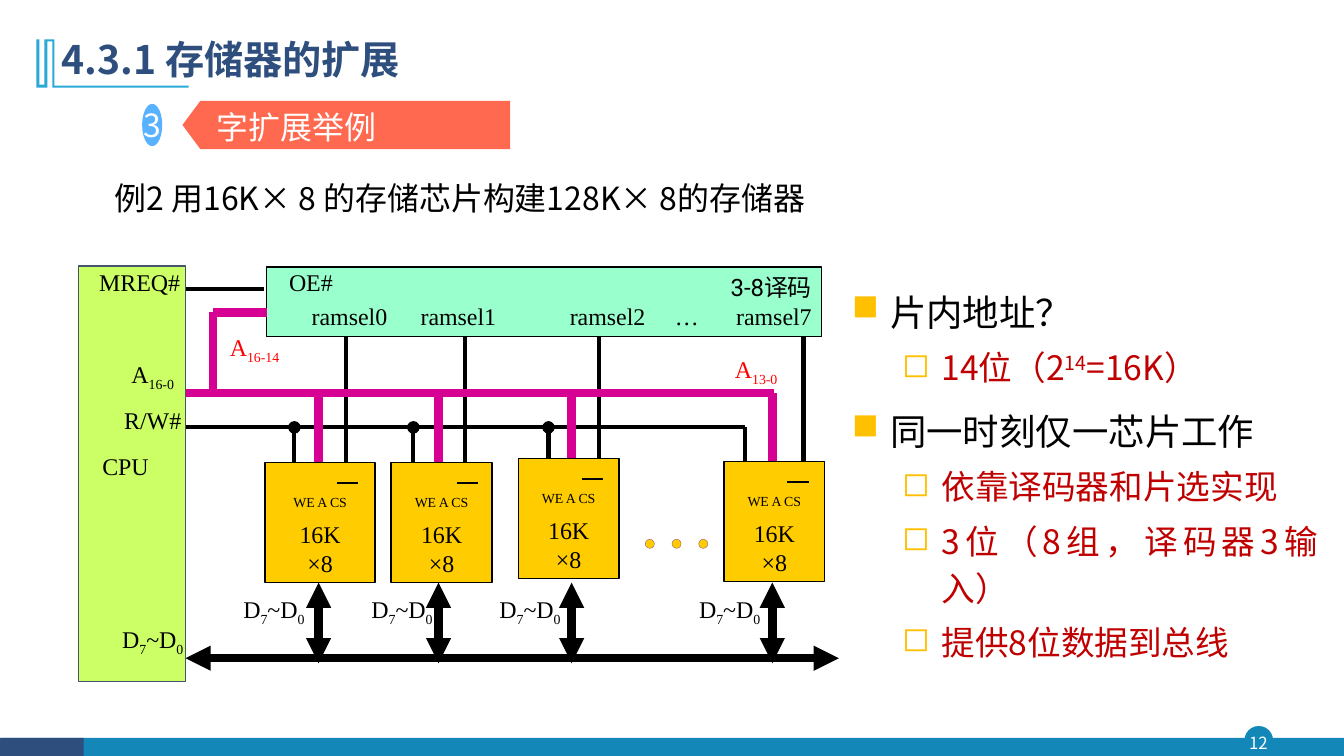
"""Build a slide on extending memory by words with a decoder and eight chips."""
from dataclasses import dataclass

import pptx
import pptx.dml.color
import pptx.enum.shapes
import pptx.enum.text
import pptx.oxml
import pptx.oxml.ns
import pptx.util

Inches = pptx.util.Inches
Pt = pptx.util.Pt
RGBColor = pptx.dml.color.RGBColor
Shape = pptx.enum.shapes.MSO_SHAPE
Align = pptx.enum.text.PP_ALIGN
Anchor = pptx.enum.text.MSO_ANCHOR
qn = pptx.oxml.ns.qn

BLACK = RGBColor(0x00, 0x00, 0x00)
WHITE = RGBColor(0xFF, 0xFF, 0xFF)
RED = RGBColor(0xFF, 0x00, 0x00)
DARK_RED = RGBColor(0xC0, 0x00, 0x00)
NAVY = RGBColor(0x2E, 0x4E, 0x7E)
TEAL = RGBColor(0x13, 0x87, 0xB7)
SKY = RGBColor(0x28, 0xA9, 0xD6)
BADGE_BLUE = RGBColor(0x59, 0xB2, 0xFF)
CORAL = RGBColor(0xFF, 0x69, 0x50)
MINT = RGBColor(0x99, 0xFF, 0xCC)
LIME = RGBColor(0xCC, 0xFF, 0x66)
SLATE = RGBColor(0x44, 0x54, 0x6A)
GOLD = RGBColor(0xFF, 0xCC, 0x00)
PLUM = RGBColor(0x95, 0x4F, 0x72)
MAGENTA = RGBColor(0xD6, 0x00, 0x93)

SANS = "Noto Sans CJK SC"
SERIF = "Times New Roman"
DATA = "D|7|~D|0"
LABEL_SIZE = 17.1
HEADING_SIZE = 22.8


@dataclass(frozen=True)
class Chip:
    left: float
    top: float
    width: float
    write_x: float
    address_x: float
    select_x: float
    bar_left: float
    select_name: str
    select_label_left: float
    data_label_left: float
    write_dot: bool = True


@dataclass(frozen=True)
class Label:
    text: str
    left: float
    top: float
    width: float = 0.93
    align: Align = Align.CENTER
    color: RGBColor = BLACK


@dataclass(frozen=True)
class Point:
    text: str
    level: int


CHIPS = [
    Chip(2.63, 4.59, 1.09, 2.92, 3.16, 3.43, 3.34, "ramsel0", 2.64, 2.1),
    Chip(3.88, 4.59, 1, 4.1, 4.35, 4.61, 4.53, "ramsel1", 3.72, 3.37),
    Chip(5.14, 4.55, 1, 5.44, 5.67, 5.94, 5.77, "ramsel2", 5.2, 4.64),
    Chip(7.18, 4.58, 1, 7.39, 7.66, 7.97, 7.81, "ramsel7", 6.85, 6.62, False),
]
CPU_LABELS = [
    Label("MREQ#", 0.92, 2.64),
    Label("A|16-0", 1.05, 3.56),
    Label("R/W#", 1.05, 4.01),
    Label("CPU", 0.78, 4.47),
    Label(DATA, 1.05, 6.19),
]
BUS_LABELS = [
    Label("A|16-14", 1.85, 3.29, align=Align.RIGHT, color=RED),
    Label("A|13-0", 6.79, 3.51, align=Align.RIGHT, color=RED),
]
POINTS = [
    Point("片内地址？", 0),
    Point("14位（2|14|=16K）", 1),
    Point("同一时刻仅一芯片工作", 0),
    Point("依靠译码器和片选实现", 1),
    Point("3位（8组，译码器3输入）", 1),
    Point("提供8位数据到总线", 1),
]


def write(paragraph, text: str, size: float, color: RGBColor, font: str = SANS,
          align: Align = Align.LEFT, bold: bool = False, baseline: int = -25) -> None:
    """Fill a paragraph; every second part between bars is raised or lowered."""
    paragraph.alignment = align
    paragraph.font.size = Pt(size)
    paragraph.font.name = font
    paragraph.font.bold = bold
    paragraph.font.color.rgb = color
    for index, part in enumerate(text.split("|")):
        if part:
            run = paragraph.add_run()
            run.text = part
            if index % 2:
                run.font._element.set("baseline", str(baseline * 1000))


def set_frame(shape, margin: float, anchor: Anchor = Anchor.TOP, wrap: bool = True):
    """Set equal margins on a text frame and return it."""
    frame = shape.text_frame
    frame.word_wrap = wrap
    frame.vertical_anchor = anchor
    frame.margin_left = frame.margin_right = Inches(margin)
    frame.margin_top = frame.margin_bottom = Inches(min(margin, 0.05))
    return frame


def add_text(slide, left: float, top: float, width: float, height: float,
             margin: float = 0.1, anchor: Anchor = Anchor.TOP):
    """Add an empty wrapping text box and return its frame."""
    box = slide.shapes.add_textbox(Inches(left), Inches(top), Inches(width), Inches(height))
    return set_frame(box, margin, anchor)


def add_label(slide, label: Label) -> None:
    """Add a small diagram label."""
    frame = add_text(slide, label.left, label.top, label.width, 0.46, 0.01)
    write(frame.paragraphs[0], label.text, LABEL_SIZE, label.color, SERIF, label.align)


def paint(shape, fill: RGBColor, line: RGBColor | None = None, width: float = 1) -> None:
    """Give a shape a flat fill and an optional outline."""
    shape.shadow.inherit = False
    shape.fill.solid()
    shape.fill.fore_color.rgb = fill
    if line is None:
        shape.line.fill.background()
    else:
        shape.line.color.rgb = line
        shape.line.width = Pt(width)


def add_block(slide, kind: Shape, left: float, top: float, width: float, height: float,
              fill: RGBColor, line: RGBColor | None = None, line_width: float = 1):
    """Add a painted preset shape."""
    shape = slide.shapes.add_shape(kind, Inches(left), Inches(top), Inches(width), Inches(height))
    paint(shape, fill, line, line_width)
    return shape


def add_wire(slide, x1: float, y1: float, x2: float, y2: float, width: float = 3,
             color: RGBColor = BLACK, head: str = "", tail: str = "") -> None:
    """Add a straight wire with optional end marks."""
    wire = slide.shapes.add_connector(pptx.enum.shapes.MSO_CONNECTOR.STRAIGHT,
                                      Inches(x1), Inches(y1), Inches(x2), Inches(y2))
    wire.line.color.rgb = color
    wire.line.width = Pt(width)
    for tag, mark in (("a:headEnd", head), ("a:tailEnd", tail)):
        if mark:
            pptx.oxml.ns.qn(tag)
            end = wire.line._get_or_add_ln().makeelement(qn(tag), {"type": mark})
            wire.line._get_or_add_ln().append(end)
    properties = wire._element.spPr
    properties.append(properties.makeelement(qn("a:effectLst"), {}))


def add_frame(slide) -> None:
    """Draw the title, its ornament and the footer."""
    add_block(slide, Shape.OVAL, 12.35, 7.21, 0.27, 0.27, TEAL, TEAL)
    add_block(slide, Shape.RECTANGLE, 0.01, 7.32, 13.32, 0.19, TEAL)
    add_block(slide, Shape.RECTANGLE, 0, 7.32, 0.83, 0.19, NAVY)
    number = add_text(slide, 12.32, 7.21, 0.32, 0.31, 0, Anchor.MIDDLE)
    write(number.paragraphs[0], "12", 12, WHITE, align=Align.CENTER)
    builder = slide.shapes.build_freeform(54, 39, scale=Inches(0.01))
    builder.add_line_segments([(54, 85), (187, 85), (187, 87), (52, 87), (52, 41), (47, 41),
                               (47, 87), (36, 87), (36, 39), (39, 39), (39, 84), (44, 84),
                               (44, 39)])
    paint(builder.convert_to_shape(), SKY)
    title = slide.shapes.title
    title.left, title.top = Inches(0.51), Inches(0.27)
    title.width, title.height = Inches(7.23), Inches(0.68)
    heading = set_frame(title, 0.1, Anchor.MIDDLE).paragraphs[0]
    heading.line_spacing = 0.9
    write(heading, "4.3.1 存储器的扩展", 28, NAVY, bold=True)


def add_heading(slide) -> None:
    """Draw the numbered banner and the example statement."""
    badge = add_block(slide, Shape.OVAL, 1.41, 1.03, 0.2, 0.42, BADGE_BLUE)
    frame = set_frame(badge, 0, Anchor.MIDDLE, wrap=False)
    write(frame.paragraphs[0], "3", HEADING_SIZE, WHITE, align=Align.CENTER)
    banner = add_block(slide, Shape.PENTAGON, 1.81, 1, 3.25, 0.48, CORAL)
    banner.adjustments[0] = 0.37
    banner._element.spPr.find(qn("a:xfrm")).set("flipH", "1")
    caption = add_text(slide, 1.91, 1.02, 3.15, 0.48)
    caption.margin_left = Inches(0.24)
    write(caption.paragraphs[0], "字扩展举例", HEADING_SIZE, WHITE)
    example = add_text(slide, 1.04, 1.72, 7.96, 0.48)
    write(example.paragraphs[0], "例2 用16K× 8 的存储芯片构建128K× 8的存储器", HEADING_SIZE, BLACK)


def add_diagram(slide) -> None:
    """Draw the processor, decoder, buses and chips."""
    for chip in CHIPS:
        add_wire(slide, chip.select_x, 4.71, chip.select_x, 3.34)
    for label in BUS_LABELS:
        add_label(slide, label)
    decoder = add_block(slide, Shape.RECTANGLE, 2.64, 2.65, 5.51, 0.69, MINT, BLACK)
    write(set_frame(decoder, 0.1).paragraphs[0], "3-8译码", LABEL_SIZE, BLACK, "Roboto", Align.RIGHT)
    add_label(slide, Label("…", 6.4, 2.98, 0.54, Align.RIGHT))
    add_label(slide, Label("OE#", 2.64, 2.64, 0.67, Align.RIGHT))
    add_wire(slide, 1.84, 4.24, 7.39, 4.24)
    add_wire(slide, 1.78, 3.9, 7.68, 3.9, 6, MAGENTA)
    add_wire(slide, 2.11, 3.1, 2.11, 3.9, 6, MAGENTA)
    add_wire(slide, 2.11, 3.1, 2.65, 3.1, 6, MAGENTA)
    add_wire(slide, 1.84, 6.53, 8.32, 6.53, 6, head="triangle", tail="triangle")
    add_wire(slide, 1.84, 2.87, 2.62, 2.87)
    add_block(slide, Shape.RECTANGLE, 0.78, 2.64, 1.06, 4.12, LIME, SLATE)
    for label in CPU_LABELS:
        add_label(slide, label)
    for chip in CHIPS:
        add_chip(slide, chip)
    for index in range(3):
        add_block(slide, Shape.OVAL, 6.4 + 0.265 * index, 5.35, 0.09, 0.09, GOLD, PLUM, 0.25)


def add_chip(slide, chip: Chip) -> None:
    """Draw one memory chip with its wires and labels."""
    add_label(slide, Label(chip.select_name, chip.select_label_left, 2.98, 1.21, Align.RIGHT))
    add_label(slide, Label(DATA, chip.data_label_left, 5.89, align=Align.RIGHT))
    add_wire(slide, chip.address_x, 5.78, chip.address_x, 6.58, 6, head="triangle", tail="triangle")
    add_wire(slide, chip.address_x, 3.9, chip.address_x, 4.59, 6, MAGENTA)
    add_wire(slide, chip.write_x, 4.7, chip.write_x, 4.24, tail="oval" if chip.write_dot else "")
    body = add_block(slide, Shape.RECTANGLE, chip.left, chip.top, chip.width, 1.19, GOLD, BLACK)
    frame = set_frame(body, 0.01)
    frame.margin_top = Inches(0.28)
    for index, text in enumerate(("|WE A CS", "16K", "×8")):
        paragraph = frame.add_paragraph() if index else frame.paragraphs[0]
        write(paragraph, text, LABEL_SIZE, BLACK, SERIF, Align.CENTER, baseline=30)
    add_wire(slide, chip.bar_left, chip.top + 0.2, chip.bar_left + 0.21, chip.top + 0.2, 1.5)


def add_points(slide) -> None:
    """Write the bulleted explanation."""
    frame = add_text(slide, 8.35, 2.61, 4.82, 4.2)
    frame.margin_top = Inches(0.19)
    for index, point in enumerate(POINTS):
        paragraph = frame.add_paragraph() if index else frame.paragraphs[0]
        mark, size, color, gap, indent, hang = (
            ("◻", 24, DARK_RED, 5, 0.89, 0.39) if point.level else ("■", 26, BLACK, 10, 0.38, 0.38))
        paragraph.level = point.level
        paragraph.line_spacing = 1.17
        if index:
            paragraph.space_before = Pt(gap)
        properties = paragraph._element.get_or_add_pPr()
        properties.set("marL", str(Inches(indent)))
        properties.set("indent", str(-Inches(hang)))
        bullet_color = properties.makeelement(qn("a:buClr"), {})
        bullet_color.append(properties.makeelement(qn("a:srgbClr"), {"val": "FFC000"}))
        properties.append(bullet_color)
        properties.append(properties.makeelement(qn("a:buChar"), {"char": mark}))
        write(paragraph, point.text, size, color, align=Align.JUSTIFY, baseline=30)


def main() -> None:
    """Build and save the presentation."""
    presentation = pptx.Presentation()
    presentation.slide_width, presentation.slide_height = Inches(13.33), Inches(7.5)
    slide = presentation.slides.add_slide(presentation.slide_layouts[5])
    add_frame(slide)
    add_heading(slide)
    add_diagram(slide)
    add_points(slide)
    presentation.save("out.pptx")


if __name__ == "__main__":
    main()
